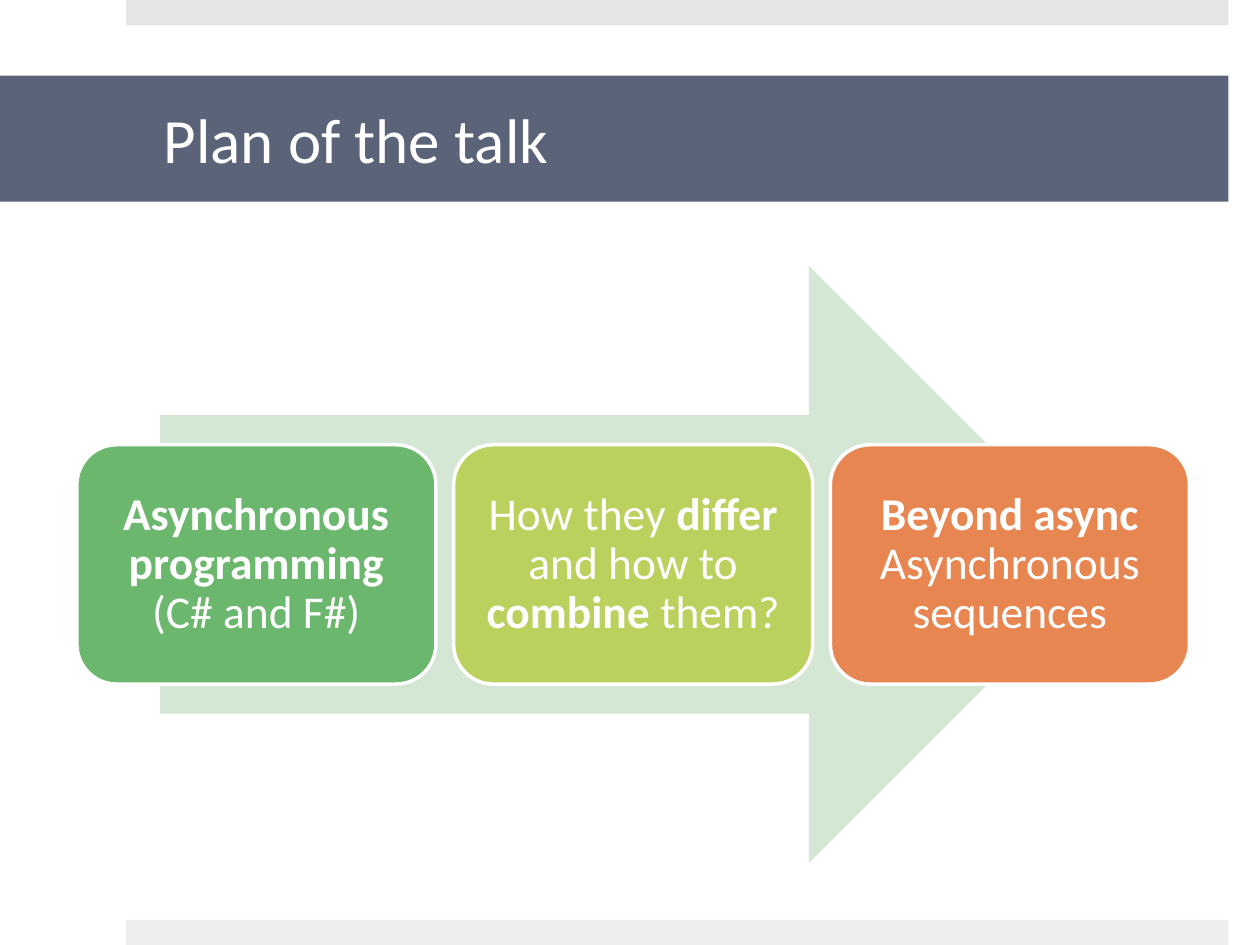
from pptx import Presentation
from pptx.dml.color import RGBColor
from pptx.enum.shapes import MSO_SHAPE as SHAPE
from pptx.enum.text import MSO_ANCHOR as ANCHOR, PP_ALIGN as ALIGN
from pptx.util import Pt


def color(value):
    return RGBColor.from_string(value)


class Deck:
    font = "Calibri"
    white = "FFFFFF"

    def __init__(self, prs):
        self.slide = prs.slides.add_slide(prs.slide_layouts[6])

    def shape(self, kind, x, y, w, h, fill, line=None):
        sp = self.slide.shapes.add_shape(kind, Pt(x), Pt(y), Pt(w), Pt(h))
        sp.shadow.inherit = False
        sp.fill.solid()
        sp.fill.fore_color.rgb = color(fill)
        if line:
            sp.line.color.rgb = color(line)
            sp.line.width = Pt(2)
        else:
            sp.line.fill.background()
        return sp

    def text(self, sp, runs, size, align, insets, spacing=1.0):
        tf = sp.text_frame
        tf.word_wrap = True
        tf.vertical_anchor = ANCHOR.MIDDLE
        left, top, right, bottom = insets
        tf.margin_left, tf.margin_top = Pt(left), Pt(top)
        tf.margin_right, tf.margin_bottom = Pt(right), Pt(bottom)
        p = tf.paragraphs[0]
        p.alignment = align
        p.line_spacing = spacing
        for words, bold in runs:
            r = p.add_run()
            r.text = words
            r.font.name = self.font
            r.font.size = Pt(size)
            r.font.bold = bold
            r.font.color.rgb = color(self.white)

    def bar(self, y, fill):
        self.shape(SHAPE.RECTANGLE, 72, y, 630, 14.4, fill)

    def title(self, words):
        sp = self.shape(SHAPE.RECTANGLE, 0, 43.2, 702, 72, "5A6378")
        self.text(sp, [(words, False)], 36, ALIGN.LEFT, (93.6, 3.6, 21.6, 3.6))

    def arrow(self):
        self.shape(SHAPE.RIGHT_ARROW, 91.44, 151.92, 541.44, 341.28, "D4E6D4")

    def card(self, x, fill, runs):
        sp = self.shape(SHAPE.ROUNDED_RECTANGLE, x, 254.16, 205.2, 136.8, fill, self.white)
        self.text(sp, runs, 26, ALIGN.CENTER, (7.92,) * 4, 0.9)


CARDS = [
    ("6BB76D", [("Asynchronous programming", True), (" (C# and F#)", False)]),
    ("BBD15D", [("How they ", False), ("differ ", True), ("and how to ", False),
                ("combine ", True), ("them?", False)]),
    ("E88651", [("Beyond async ", True), ("Asynchronous sequences", False)]),
]


def main():
    prs = Presentation()
    prs.slide_width, prs.slide_height = Pt(720), Pt(540)
    deck = Deck(prs)
    deck.bar(0, "E5E5E6")
    deck.bar(525.6, "EEEEEF")
    deck.title("Plan of the talk")
    deck.arrow()
    for i, (fill, runs) in enumerate(CARDS):
        deck.card(43.92 + i * 215.28, fill, runs)
    prs.save("out.pptx")


if __name__ == "__main__":
    main()
